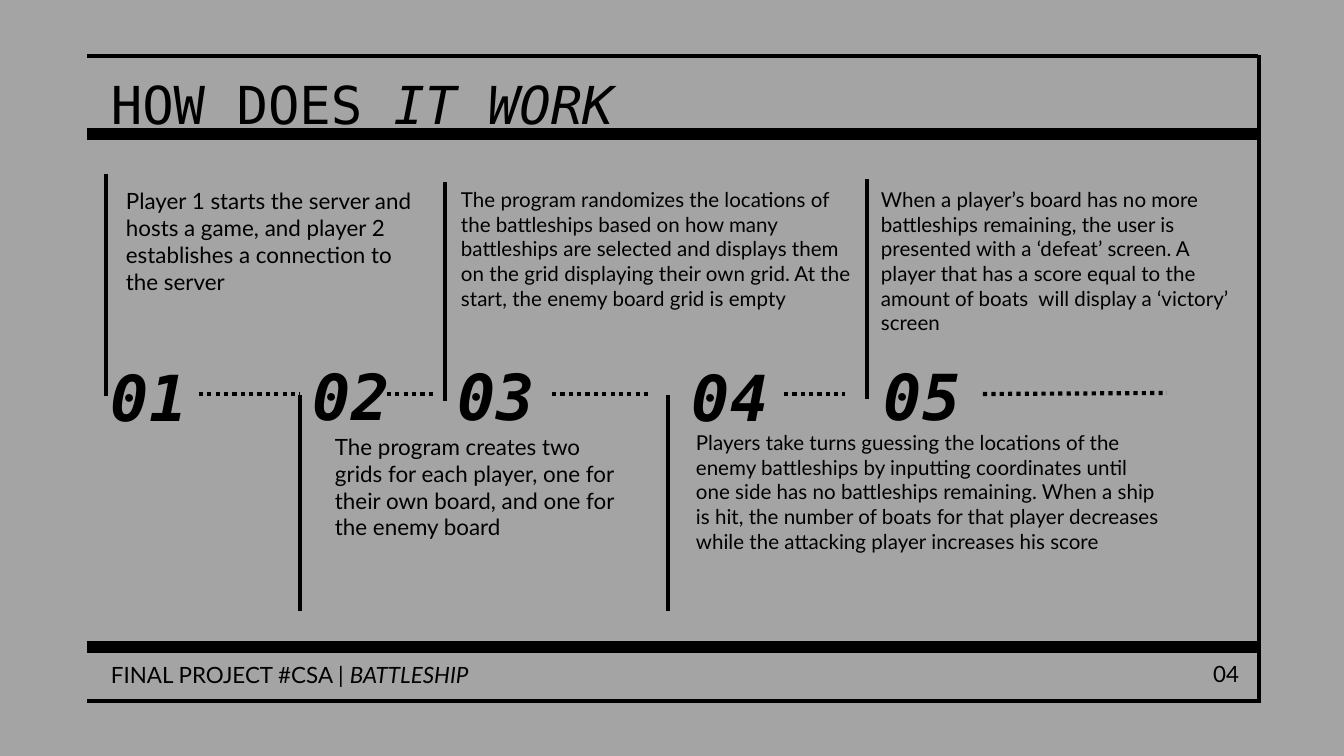
from lxml.etree import SubElement
from pptx import Presentation
from pptx.dml.color import RGBColor
from pptx.enum.dml import MSO_LINE
from pptx.enum.shapes import MSO_CONNECTOR
from pptx.enum.text import MSO_ANCHOR, MSO_AUTO_SIZE, PP_ALIGN
from pptx.oxml.ns import qn
from pptx.util import Pt

EMU_PER_PX = 914400 / 134.4
COLORS = {"background": "A5A4A4", "ink": "000000"}
HEADING_FONT = "DejaVu Sans Mono"
BODY_FONT = "Lato"


def px(length):
    return round(length * EMU_PER_PX)


class SlideBuilder:
    def __init__(self, presentation):
        self.ink = RGBColor.from_string(COLORS["ink"])
        self.slide = presentation.slides.add_slide(presentation.slide_layouts[5])
        fill = self.slide.background.fill
        fill.solid()
        fill.fore_color.rgb = RGBColor.from_string(COLORS["background"])

    def line(self, start_x, start_y, end_x, end_y, width=2.25, dotted=False):
        connector = self.slide.shapes.add_connector(
            MSO_CONNECTOR.STRAIGHT, px(start_x), px(start_y), px(end_x), px(end_y)
        )
        connector.line.color.rgb = self.ink
        connector.line.width = Pt(width)
        if dotted:
            connector.line.dash_style = MSO_LINE.ROUND_DOT
        properties = connector._element.find(qn("p:spPr"))
        SubElement(properties, qn("a:effectLst"))

    def fill_text(self, shape, runs, size, font_name, anchor, align, bold=False, inset=5):
        frame = shape.text_frame
        frame.word_wrap = True
        frame.auto_size = MSO_AUTO_SIZE.NONE
        frame.vertical_anchor = anchor
        frame.margin_left = frame.margin_right = px(inset)
        frame.margin_top = frame.margin_bottom = 0
        paragraph = frame.paragraphs[0]
        paragraph.alignment = align
        font = paragraph.font
        font.name = font_name
        font.size = Pt(size)
        font.bold = bold
        font.color.rgb = self.ink
        for text, italic in runs:
            run = paragraph.add_run()
            run.text = text
            run.font.italic = italic

    def title(self, left, top, width, height, runs):
        shape = self.slide.shapes.title
        shape.left, shape.top = px(left), px(top)
        shape.width, shape.height = px(width), px(height)
        self.fill_text(shape, runs, 28, HEADING_FONT, MSO_ANCHOR.MIDDLE, PP_ALIGN.LEFT)

    def text(self, left, top, width, height, runs, size=12, font_name=BODY_FONT,
             anchor=MSO_ANCHOR.TOP, align=PP_ALIGN.LEFT, bold=False, inset=5):
        shape = self.slide.shapes.add_textbox(px(left), px(top), px(width), px(height))
        self.fill_text(shape, runs, size, font_name, anchor, align, bold, inset)

    def number(self, left, top, label):
        self.text(left, top, 105, 81, [(label, True)], 34, HEADING_FONT,
                  MSO_ANCHOR.MIDDLE, bold=True)


STEPS = [
    (121, 187, 296, 12, "Player 1 starts the server and hosts a game, and player 2 "
     "establishes a connection to the server"),
    (330, 433, 308, 12, "The program creates two grids for each player, one for their "
     "own board, and one for the enemy board"),
    (456, 187, 410, 11, "The program randomizes the locations of the battleships based "
     "on how many battleships are selected and displays them on the grid displaying "
     "their own grid. At the start, the enemy board grid is empty"),
    (691, 430, 481, 11, "Players take turns guessing the locations of the enemy "
     "battleships by inputting coordinates until one side has no battleships remaining. "
     "When a ship is hit, the number of boats for that player decreases while the "
     "attacking player increases his score"),
    (876, 187, 376, 11, "When a player’s board has no more battleships remaining, the "
     "user is presented with a ‘defeat’ screen. A player that has a score equal to the "
     "amount of boats  will display a ‘victory’ screen"),
]
NUMBER_POSITIONS = [(106, 356), (308, 355), (453, 355), (687, 356), (879, 355)]
STEP_BARS = [(106, 396, 174), (300, 395, 611), (668, 395, 611), (445, 401, 182),
             (867, 399, 179)]
DOTTED_LINKS = [(199, 300, 394), (387, 437, 394), (552, 652, 394), (784, 845, 394),
                (983, 1167, 393)]
FRAME_RULES = [(701, 2.25), (56, 2.25), (134, 6), (647, 6)]


def main():
    presentation = Presentation()
    presentation.slide_width = px(1344)
    presentation.slide_height = px(756)
    builder = SlideBuilder(presentation)

    builder.line(1259, 55, 1259, 703)
    for y, width in FRAME_RULES:
        builder.line(87, y, 1258, y, width)

    builder.title(106, 69, 1133, 70, [("HOW DOES", False), (" IT WORK", True)])
    for left, top, width, size, description in STEPS:
        builder.text(left, top, width, 150, [(description, False)], size)
    for index, (left, top) in enumerate(NUMBER_POSITIONS, 1):
        builder.number(left, top, f"{index:02}")

    builder.text(106, 661, 1060, 26,
                 [("FINAL PROJECT #CSA | ", False), ("BATTLESHIP", True)])
    builder.text(1171, 661, 81, 26, [("04", False)], anchor=MSO_ANCHOR.MIDDLE,
                 align=PP_ALIGN.RIGHT, inset=13)

    for x, start, end in STEP_BARS:
        builder.line(x, start, x, end)
    for start, end, end_y in DOTTED_LINKS:
        builder.line(start, 394, end, end_y, dotted=True)

    presentation.save("out.pptx")


if __name__ == "__main__":
    main()
